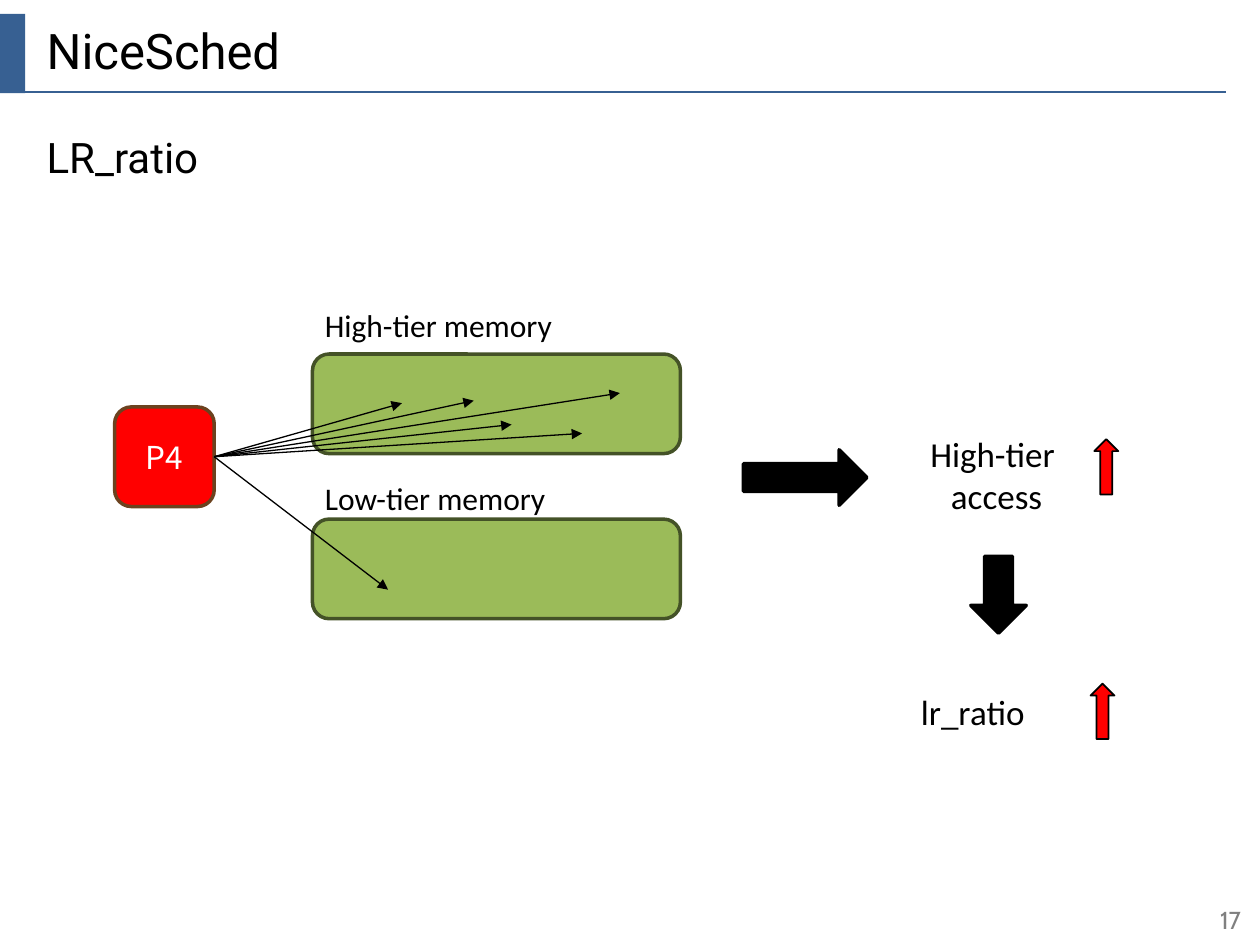
import pptx
import pptx.util
import pptx.dml.color
import pptx.enum.shapes
import pptx.enum.text
import pptx.oxml
import pptx.oxml.ns

Inches = pptx.util.Inches
Pt = pptx.util.Pt
RGBColor = pptx.dml.color.RGBColor
SHAPE = pptx.enum.shapes.MSO_SHAPE
STRAIGHT = pptx.enum.shapes.MSO_CONNECTOR.STRAIGHT
ALIGN = pptx.enum.text.PP_ALIGN
ANCHOR = pptx.enum.text.MSO_ANCHOR

BLACK = RGBColor(0x00, 0x00, 0x00)
WHITE = RGBColor(0xFF, 0xFF, 0xFF)
GRAY = RGBColor(0x80, 0x80, 0x80)
BLUE = RGBColor(0x37, 0x60, 0x92)
RED = RGBColor(0xFF, 0x00, 0x00)
BROWN = RGBColor(0x6C, 0x42, 0x1F)
GREEN = RGBColor(0x9B, 0xBB, 0x59)
DARK_GREEN = RGBColor(0x44, 0x52, 0x27)


def write(shape, text, font="Calibri", size=18, color=BLACK, align=ALIGN.LEFT,
          anchor=ANCHOR.TOP):
    """Fill a shape with text, one paragraph per line."""
    tf = shape.text_frame
    tf.word_wrap = True
    tf.auto_size = pptx.enum.text.MSO_AUTO_SIZE.NONE
    tf.vertical_anchor = anchor
    tf.text = text
    for p in tf.paragraphs:
        p.alignment = align
        for r in p.runs:
            r.font.name = font
            r.font.size = Pt(size)
            r.font.color.rgb = color
    return tf


def add_label(s, box, text, **fmt):
    return write(s.shapes.add_textbox(*map(Inches, box)), text, **fmt)


def add_block(s, kind, box, fill, line=None, width=2, rotation=0):
    sp = s.shapes.add_shape(kind, *map(Inches, box))
    sp.shadow.inherit = False
    sp.fill.solid()
    sp.fill.fore_color.rgb = fill
    if line is None:
        sp.line.fill.background()
    else:
        sp.line.color.rgb = line
        sp.line.width = Pt(width)
    sp.rotation = rotation
    return sp


def add_line(s, start, end, color, arrow=False):
    c = s.shapes.add_connector(STRAIGHT, *map(Inches, start + end))
    c.line.color.rgb = color
    c.line.width = Pt(0.75)
    qn = pptx.oxml.ns.qn
    if arrow:
        tail = c.line._get_or_add_ln().makeelement(qn("a:tailEnd"), {"type": "triangle"})
        c.line._get_or_add_ln().append(tail)
    sp_pr = c._element.spPr
    sp_pr.append(sp_pr.makeelement(qn("a:effectLst"), {}))
    return c


def place(shape, box):
    shape.left, shape.top, shape.width, shape.height = map(Inches, box)


def add_frame(s, title, topic, number):
    """Heading with its rule, topic line and page number."""
    add_block(s, SHAPE.RECTANGLE, (0, 0.11, 0.2, 0.63), BLUE)
    add_line(s, (0, 0.73), (9.73, 0.73), BLUE)

    place(s.shapes.title, (0.27, 0, 9.45, 0.8))
    write(s.shapes.title, title, font="Roboto", size=28, anchor=ANCHOR.MIDDLE)

    body = s.placeholders[1]
    place(body, (0.27, 0.99, 9.45, 6.38))
    p = write(body, topic, font="Roboto", size=24).paragraphs[0]
    p.space_before, p.space_after = Pt(0), Pt(12)
    p_pr = p._p.get_or_add_pPr()
    p_pr.set("marL", "0")
    p_pr.set("indent", "0")
    p_pr.append(p_pr.makeelement(pptx.oxml.ns.qn("a:buNone"), {}))

    tf = add_label(s, (8.64, 7.1, 1.36, 0.4), number, font="Cabin", size=14,
                   color=GRAY, align=ALIGN.RIGHT, anchor=ANCHOR.MIDDLE)
    tf.margin_right = Inches(0.15)


def add_memory_access(s, x, y):
    """Process P4 reaching into the two memory tiers."""
    side, tier_x = 0.79, x + 1.57
    process = add_block(s, SHAPE.ROUNDED_RECTANGLE, (x, y + 0.85, side, side), RED, BROWN)
    write(process, "P4", font="Noto Sans CJK KR", color=WHITE,
          align=ALIGN.CENTER, anchor=ANCHOR.MIDDLE)

    tiers = [("High-tier memory", 0, 0.43), ("Low-tier memory", 1.37, 1.74)]
    for name, label_dy, tier_dy in tiers:
        add_block(s, SHAPE.ROUNDED_RECTANGLE, (tier_x, y + tier_dy, 2.92, side),
                  GREEN, DARK_GREEN)
        add_label(s, (tier_x, y + label_dy, 2.22, 0.4), name)

    hits = [(2.28, 0.82), (4.01, 0.74), (3.15, 0.99), (2.85, 0.8), (3.71, 1.06),
            (2.17, 2.3)]
    for dx, dy in hits:
        c = add_line(s, (x + side, y + 1.24), (x + dx, y + dy), BLACK, arrow=True)
        c.begin_connect(process, 3)


def add_effect(s, x, y):
    """More high-tier accesses leading to a higher ratio."""
    arrow = SHAPE.RIGHT_ARROW
    add_block(s, arrow, (x, y + 0.19, 0.98, 0.44), BLACK, BLACK)
    add_label(s, (x + 1.21, y, 1.6, 0.77), "High-tier \naccess", size=20,
              align=ALIGN.CENTER)
    add_block(s, arrow, (x + 1.72, y + 1.12, 0.61, 0.44), BLACK, BLACK, rotation=90)
    add_label(s, (x + 1.31, y + 2.05, 1.32, 0.44), "lr_ratio", size=20)
    for dx, dy in [(2.66, 0.23), (2.63, 2.17)]:
        add_block(s, arrow, (x + dx, y + dy, 0.44, 0.19), RED, BLACK, 1, rotation=270)


def main():
    prs = pptx.Presentation()
    prs.slide_width, prs.slide_height = Inches(10), Inches(7.5)
    s = prs.slides.add_slide(prs.slide_layouts[1])
    add_frame(s, "NiceSched", "LR_ratio", "17")
    add_memory_access(s, 0.91, 2.38)
    add_effect(s, 5.9, 3.38)
    prs.save("out.pptx")


if __name__ == "__main__":
    main()
